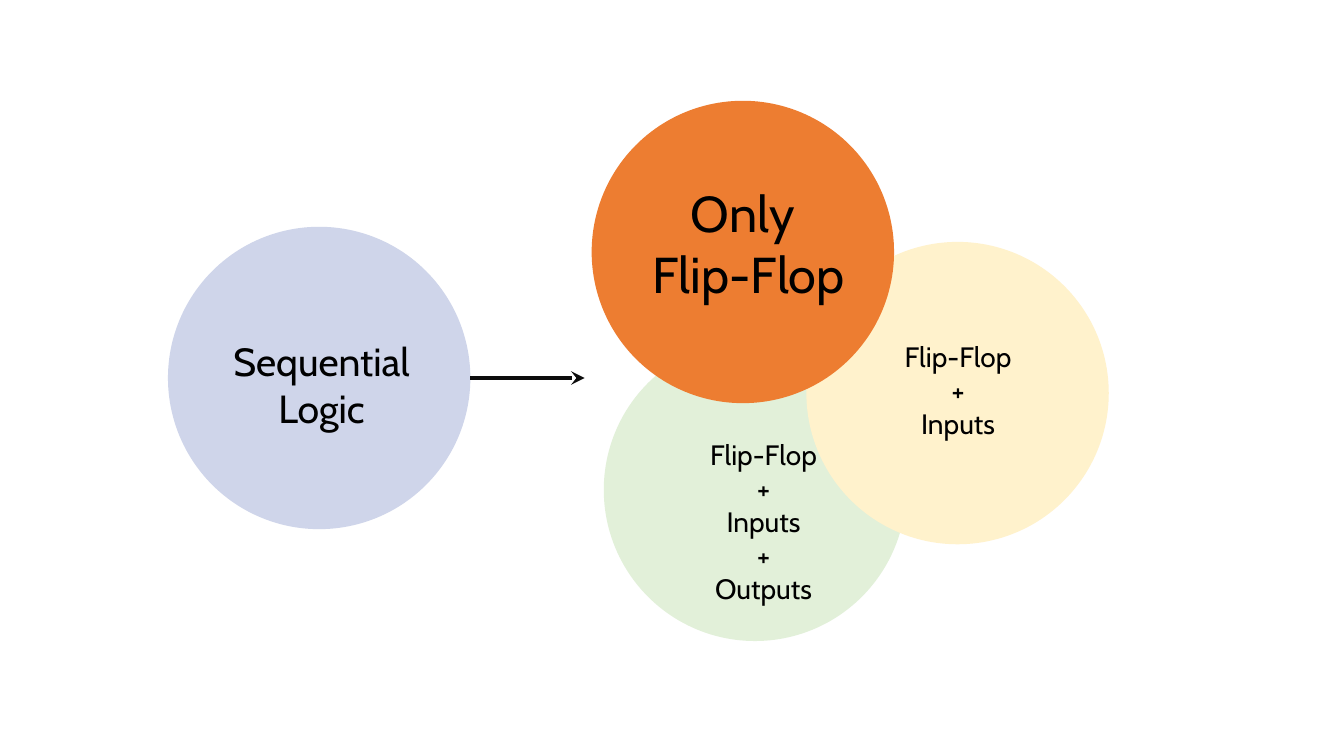
from lxml import etree
from pptx import Presentation
from pptx.dml.color import RGBColor
from pptx.enum.shapes import MSO_CONNECTOR, MSO_SHAPE
from pptx.enum.text import MSO_AUTO_SIZE, PP_ALIGN
from pptx.oxml.ns import qn
from pptx.util import Inches, Pt

OVAL = MSO_SHAPE.OVAL
STRAIGHT = MSO_CONNECTOR.STRAIGHT
CENTER = PP_ALIGN.CENTER
FIT_SHAPE = MSO_AUTO_SIZE.SHAPE_TO_FIT_TEXT
COLUMNS, ROWS = 40, 30
CIRCLE_COLUMNS, CIRCLE_ROWS = 9, 12


def color(hex_string):
    return RGBColor.from_string(hex_string)


class LogicSlide:
    font = "Cabin"
    text_color = "000000"
    arrow_color = "0D0D0D"

    def __init__(self, presentation):
        self.slide = presentation.slides.add_slide(presentation.slide_layouts[6])
        self.column = presentation.slide_width / COLUMNS
        self.row = presentation.slide_height / ROWS

    def place(self, column, row):
        return round(column * self.column), round(row * self.row)

    def bubble(self, circle_at, fill, label_at, label_size, lines, size, filled=True):
        group = self.slide.shapes.add_group_shape()
        self.circle(group, circle_at, fill)
        self.label(group, label_at, label_size, lines, size, fill if filled else None)

    def circle(self, group, position, fill):
        shape = group.shapes.add_shape(
            OVAL, *self.place(*position), *self.place(CIRCLE_COLUMNS, CIRCLE_ROWS))
        shape.shadow.inherit = False
        shape.fill.solid()
        shape.fill.fore_color.rgb = color(fill)
        shape.line.fill.background()

    def label(self, group, position, extent, lines, size, fill):
        shape = group.shapes.add_textbox(*self.place(*position), *self.place(*extent))
        if fill:
            shape.fill.solid()
            shape.fill.fore_color.rgb = color(fill)
        frame = shape.text_frame
        frame.word_wrap = False
        frame.auto_size = FIT_SHAPE
        for index, line in enumerate(lines):
            paragraph = frame.add_paragraph() if index else frame.paragraphs[0]
            paragraph.alignment = CENTER
            run = paragraph.add_run()
            run.text = line
            run.font.name = self.font
            run.font.size = Pt(size)
            run.font.color.rgb = color(self.text_color)

    def arrow(self, start, end, width):
        connector = self.slide.shapes.add_connector(
            STRAIGHT, *self.place(*start), *self.place(*end))
        connector.line.width = Pt(width)
        connector.line.color.rgb = color(self.arrow_color)
        line = connector.line._get_or_add_ln()
        etree.SubElement(line, qn("a:tailEnd"), type="stealth")
        etree.SubElement(connector._element.spPr, qn("a:effectLst"))


def main():
    presentation = Presentation()
    presentation.slide_width = Inches(13.33)
    presentation.slide_height = Inches(7.5)
    logic = LogicSlide(presentation)
    logic.bubble((5, 9), "CFD5EA", (6.54, 13.2), (6.06, 4.16),
                 ["Sequential", "Logic"], 28, filled=False)
    logic.arrow((14, 15), (17.4, 15), 3.25)
    logic.bubble((17.97, 13.44), "E2F0D9", (20.79, 17.16), (3.87, 7.12),
                 ["Flip-Flop", "+", "Inputs", "+", "Outputs"], 20)
    logic.bubble((24, 9.6), "FFF2CC", (26.58, 13.28), (3.87, 4.44),
                 ["Flip-Flop", "+", "Inputs"], 20)
    logic.bubble((17.61, 4), "ED7D31", (19.05, 7.04), (6.45, 5.24),
                 ["Only ", "Flip-Flop"], 36)
    presentation.save("out.pptx")


if __name__ == "__main__":
    main()
